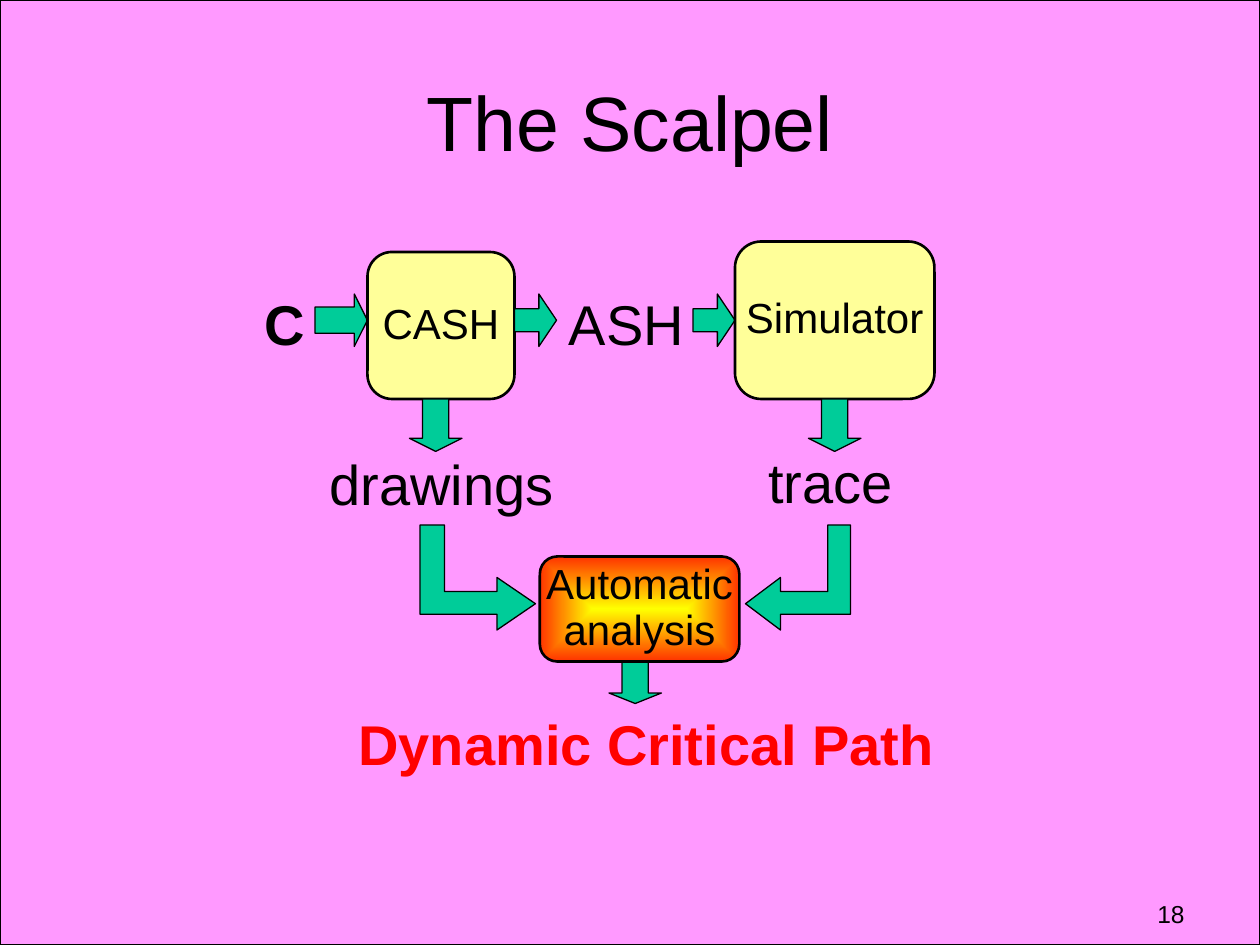
from lxml import etree
from pptx import Presentation
from pptx.dml.color import RGBColor
from pptx.enum.shapes import MSO_SHAPE
from pptx.enum.text import MSO_ANCHOR, PP_ALIGN
from pptx.oxml import parse_xml
from pptx.oxml.ns import nsdecls, qn
from pptx.util import Pt

RECT, ROUND = MSO_SHAPE.RECTANGLE, MSO_SHAPE.ROUNDED_RECTANGLE
DOWN, RIGHT = MSO_SHAPE.DOWN_ARROW, MSO_SHAPE.RIGHT_ARROW
TOP, MIDDLE = MSO_ANCHOR.TOP, MSO_ANCHOR.MIDDLE
LEFT, CENTER, END = PP_ALIGN.LEFT, PP_ALIGN.CENTER, PP_ALIGN.RIGHT

COLORS = {
    "pink": "FF99FF", "ink": "000000", "green": "00CC99", "cream": "FFFF99",
    "red": "FF0000", "glow": "FFFF00", "rim": "FF3300",
}


def color(name):
    return RGBColor.from_string(COLORS[name])


def write(shape, text, size, align=LEFT, anchor=TOP, ink="ink",
          bold=False, wrap=True, space=None):
    frame = shape.text_frame
    frame.word_wrap = wrap
    frame.vertical_anchor = anchor
    frame.text = text
    for para in frame.paragraphs:
        para.alignment = align
        para.line_spacing = space
        para.font.name = "Arial"
        para.font.size = Pt(size)
        para.font.bold = bold
        para.font.color.rgb = color(ink)


def label(slide, box, text, size=32, **style):
    write(slide.shapes.add_textbox(*map(Pt, box)), text, size, **style)


def paint(shape, fill, width=0.75):
    shape.shadow.inherit = False
    shape.fill.solid()
    shape.fill.fore_color.rgb = color(fill)
    shape.line.color.rgb = color("ink")
    shape.line.width = Pt(width)


def block(slide, box, text):
    shape = slide.shapes.add_shape(ROUND, *map(Pt, box))
    paint(shape, "cream", 1.5)
    write(shape, text, 24, align=CENTER, anchor=MIDDLE, wrap=False, space=0.9)
    return shape


def glow(shape):
    """Fill with a gradient that runs from the centre to the rim."""
    shape.fill.gradient()
    for stop, name, pos in zip(shape.fill.gradient_stops, ("glow", "rim"), (0, 1)):
        stop.color.rgb = color(name)
        stop.position = pos
    grad = shape.element.spPr.find(qn("a:gradFill"))
    grad.remove(grad.find(qn("a:lin")))
    path = parse_xml(f'<a:path {nsdecls("a")} path="rect"/>')
    etree.SubElement(path, qn("a:fillToRect"),
                     {side: "50000" for side in "ltrb"})
    grad.append(path)


def arrow(slide, kind, box, shaft=0.5, head=0.25):
    shape = slide.shapes.add_shape(kind, *map(Pt, box))
    shape.adjustments[0] = shaft
    shape.adjustments[1] = head
    paint(shape, "green")


def elbow(slide, start, tip, top, band, head):
    """Arrow that drops from the top at start, then turns toward tip."""
    way = 1 if tip > start else -1
    inner, neck = start + way * band, tip - way * head
    points = [(start, 0), (inner, 0), (inner, 38), (neck, 38), (neck, 30),
              (tip, 45), (neck, 60), (neck, 51), (start, 51)]
    points = [(Pt(x), Pt(top + y)) for x, y in points]
    build = slide.shapes.build_freeform(*points[0])
    build.add_line_segments(points[1:], close=True)
    paint(build.convert_to_shape(), "green")


def backdrop(slide, box):
    paint(slide.shapes.add_shape(RECT, *map(Pt, box)), "pink")


def title(slide, box):
    label(slide, box, "The Scalpel", 44, align=CENTER, anchor=MIDDLE)


def flow(slide, left, top):
    def at(x, y, w, h):
        return left + x, top + y, w, h

    # Top row: source, compiler, graph, simulator
    label(slide, at(0, 24, 40, 46), "C", bold=True)
    arrow(slide, RIGHT, at(36, 30, 30, 30))
    block(slide, at(66, 6, 84, 84), "CASH")
    for x in (150, 252):
        arrow(slide, RIGHT, at(x, 30, 24, 30), 0.44, 0.42)
    label(slide, at(174, 24, 102, 46), "ASH")
    block(slide, at(276, 0, 114, 90), "Simulator")

    # Outputs of the two tools
    for x in (90, 318):
        arrow(slide, DOWN, at(x, 90, 30, 30))
    label(slide, at(34, 115.5, 149, 46), "drawings", align=CENTER)
    label(slide, at(288, 114, 92, 46), "trace")

    # Analysis and its result
    elbow(slide, left + 96, left + 162, top + 162, 14, 22)
    elbow(slide, left + 342, left + 282, top + 162, 13, 20)
    arrow(slide, DOWN, at(204, 240, 30, 24))
    glow(block(slide, at(164.5, 180, 114, 60), "Automatic\nanalysis"))
    label(slide, at(44, 264, 363, 46), "Dynamic Critical Path",
          align=CENTER, ink="red", bold=True)


def number(slide, box):
    label(slide, box, "18", 14, align=END)


def main():
    deck = Presentation()
    deck.slide_width, deck.slide_height = Pt(720), Pt(540)
    slide = deck.slides.add_slide(deck.slide_layouts[6])
    backdrop(slide, (0, 0, 720, 540))
    title(slide, (54, 24, 612, 90))
    flow(slide, 144, 138)
    number(slide, (648, 510, 36, 30))
    deck.save("out.pptx")


if __name__ == "__main__":
    main()
